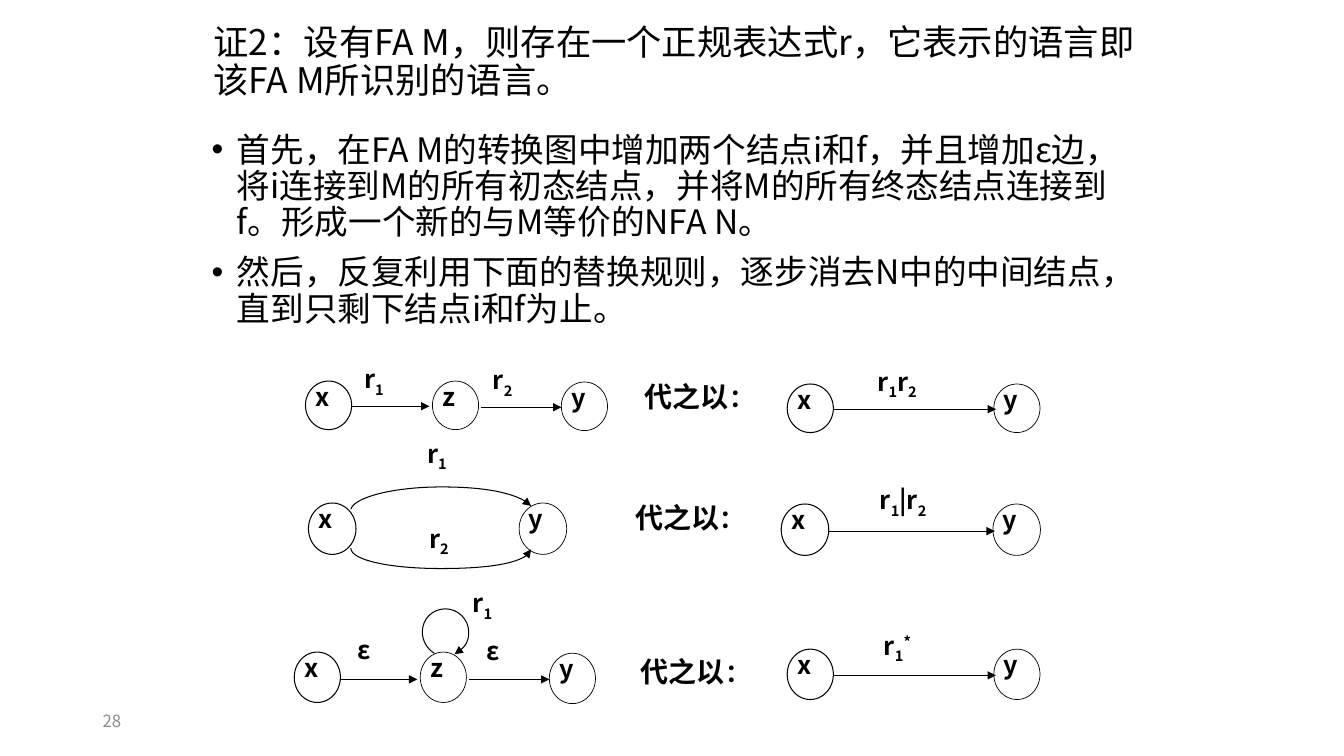
from dataclasses import dataclass

from lxml import etree
from pptx import Presentation
from pptx.dml.color import RGBColor
from pptx.enum.shapes import MSO_CONNECTOR, MSO_SHAPE
from pptx.enum.text import MSO_ANCHOR, MSO_AUTO_SIZE, PP_ALIGN
from pptx.oxml.ns import qn
from pptx.util import Pt

ELLIPSE = MSO_SHAPE.OVAL
STRAIGHT = MSO_CONNECTOR.STRAIGHT
LEFT = PP_ALIGN.LEFT
TOP, MIDDLE = MSO_ANCHOR.TOP, MSO_ANCHOR.MIDDLE
NO_AUTOFIT = MSO_AUTO_SIZE.NONE

BLACK = RGBColor(0x00, 0x00, 0x00)
GRAY = RGBColor(0x8C, 0x8C, 0x8C)
FONT = "Noto Sans CJK SC"
THIN, NORMAL = 0.5, 0.75
INDENT = 18
SHIFTS = {"_": "-25000", "^": "30000"}

TITLE = "证2：设有FA M，则存在一个正规表达式r，它表示的语言即该FA M所识别的语言。"
STEPS = (
    "首先，在FA M的转换图中增加两个结点i和f，并且增加ε边，将i连接到M的所有初态结点，"
    "并将M的所有终态结点连接到f。形成一个新的与M等价的NFA N。",
    "然后，反复利用下面的替换规则，逐步消去N中的中间结点，直到只剩下结点i和f为止。",
)

Point = tuple[float, float]


@dataclass(frozen=True)
class Node:
    name: str
    left: float
    top: float


@dataclass(frozen=True)
class Arrow:
    start: float
    end: float
    height: float


@dataclass(frozen=True)
class Label:
    markup: str
    left: float
    top: float


@dataclass(frozen=True)
class Curve:
    start: Point
    controls: tuple[Point, ...]


@dataclass(frozen=True)
class Rule:
    node_size: Point
    nodes: tuple[Node, ...]
    arrows: tuple[Arrow, ...]
    labels: tuple[Label, ...]
    replaced_by: Point
    curves: tuple[Curve, ...] = ()


RULES = (
    Rule(
        (33, 34.7),
        (Node("x", 218.2, 272.2), Node("z", 308.9, 272.2), Node("y", 401, 272.9),
         Node("x", 562.3, 274.3), Node("y", 709.9, 274.3)),
        (Arrow(251.3, 306.7, 290.2), Arrow(343.4, 401, 290.9), Arrow(594.7, 711.4, 292.3)),
        (Label("r_1", 253, 256.3), Label("r_2", 345, 257), Label("r_1r_2", 619.8, 257.8)),
        (453.6, 267.8),
    ),
    Rule(
        (34, 36.7),
        (Node("x", 220.3, 359.3), Node("y", 370.8, 359.3),
         Node("x", 558, 360), Node("y", 709.2, 360)),
        (Arrow(591.8, 710.6, 379.4),),
        (Label("r_1", 298.1, 309.6), Label("r_2", 299.5, 370.1), Label("r_1|r_2", 621.4, 342.7)),
        (447.1, 354.2),
        (Curve((250.6, 363.6), (
            (253.4, 355), (281.5, 347.8), (315.4, 347.8),
            (346.3, 347.8), (373, 353.5), (379.4, 361.4))),
         Curve((250.6, 391.5), (
             (250.6, 400.3), (279.4, 406.1), (314.6, 406.1),
             (350.6, 406.1), (379.4, 400.3), (379.4, 392.4)))),
    ),
    Rule(
        (33, 36),
        (Node("x", 210.2, 465.8), Node("z", 300.2, 465.8), Node("y", 392.4, 466.6),
         Node("x", 562.3, 463.7), Node("y", 709.9, 463.7)),
        (Arrow(242.6, 298.1, 485.3), Arrow(334.8, 392.4, 485.3), Arrow(595.4, 711.4, 482.4)),
        (Label("ε", 248.2, 449.3), Label("ε", 340.3, 450),
         Label("r_1", 330.6, 416.2), Label("r_1^*", 624.3, 446.4)),
        (450.7, 463.7),
        (Curve((310.3, 466.6), (
            (305.3, 463.7), (301.7, 457.9), (301.7, 451.4),
            (301.7, 442.1), (308.9, 434.9), (318.2, 434.9),
            (326.9, 434.9), (334.8, 442.1), (334.8, 451.4),
            (334.8, 458.6), (330.5, 464.4), (324.7, 467.3))),),
    ),
)


def set_attributes(target, values: dict) -> None:
    for name, value in values.items():
        setattr(target, name, value)


def add_run(paragraph, text: str, size: float, bold: bool = False,
            color: RGBColor = BLACK, shift: str = "") -> None:
    run = paragraph.add_run()
    run.text = text
    set_attributes(run.font, {"name": FONT, "size": Pt(size), "bold": bold})
    run.font.color.rgb = color
    properties = run._r.get_or_add_rPr()
    etree.SubElement(properties, qn("a:ea"), typeface=FONT)
    if shift:
        properties.set("baseline", shift)


def add_text_box(slide, left: float, top: float, width: float, height: float):
    frame = slide.shapes.add_textbox(Pt(left), Pt(top), Pt(width), Pt(height)).text_frame
    frame.word_wrap = True
    return frame


def add_label(slide, label: Label) -> None:
    paragraph = add_text_box(slide, label.left, label.top, 72, 41).paragraphs[0]
    shift = ""
    for character in label.markup:
        if character in SHIFTS:
            shift = SHIFTS[character]
        else:
            add_run(paragraph, character, 18, True, shift=shift)
            shift = ""


def style_outline(shape, weight: float, arrow: bool) -> None:
    set_attributes(shape.line, {"width": Pt(weight)})
    shape.line.color.rgb = BLACK
    if arrow:
        outline = shape._element.spPr.find(qn("a:ln"))
        etree.SubElement(outline, qn("a:tailEnd"), type="triangle")


def add_node(slide, node: Node, size: Point) -> None:
    circle = slide.shapes.add_shape(ELLIPSE, *map(Pt, (node.left, node.top, *size)))
    circle.shadow.inherit = False
    circle.fill.background()
    style_outline(circle, NORMAL if node.name == "x" else THIN, False)
    add_label(slide, Label(node.name, node.left, node.top - 3.6))


def add_arrow(slide, arrow: Arrow) -> None:
    connector = slide.shapes.add_connector(
        STRAIGHT, Pt(arrow.start), Pt(arrow.height), Pt(arrow.end), Pt(arrow.height))
    style_outline(connector, NORMAL, True)
    etree.SubElement(connector._element.spPr, qn("a:effectLst"))


def add_curve(slide, curve: Curve) -> None:
    builder = slide.shapes.build_freeform(*map(Pt, curve.start))
    builder.add_line_segments([(Pt(x), Pt(y)) for x, y in curve.controls], close=False)
    shape = builder.convert_to_shape()
    outline = next(shape._element.iter(qn("a:path")))
    segments = outline.findall(qn("a:lnTo"))
    for first in range(0, len(segments), 3):
        bezier = etree.SubElement(outline, qn("a:cubicBezTo"))
        for segment in segments[first:first + 3]:
            bezier.append(segment[0])
            outline.remove(segment)
    shape.shadow.inherit = False
    shape.fill.background()
    style_outline(shape, NORMAL, True)


def fill_placeholder(shape, box: tuple, anchor, texts: tuple[str, ...],
                     size: float, bulleted: bool) -> None:
    set_attributes(shape, dict(zip(("left", "top", "width", "height"), map(Pt, box))))
    frame = shape.text_frame
    set_attributes(frame, {"word_wrap": True, "auto_size": NO_AUTOFIT, "vertical_anchor": anchor})
    for index, text in enumerate(texts):
        paragraph = frame.add_paragraph() if index else frame.paragraphs[0]
        if bulleted:
            properties = paragraph._p.get_or_add_pPr()
            properties.set("marL", str(Pt(INDENT)))
            properties.set("indent", str(-Pt(INDENT)))
            etree.SubElement(properties, qn("a:buFont"), typeface="Arial")
            etree.SubElement(properties, qn("a:buChar"), char="•")
        set_attributes(paragraph, {"alignment": LEFT, "line_spacing": 0.9,
                                   "space_before": Pt(10 if index else 0)})
        add_run(paragraph, text, size)


def main() -> None:
    presentation = Presentation()
    set_attributes(presentation, {"slide_width": Pt(960), "slide_height": Pt(540)})
    slide = presentation.slides.add_slide(presentation.slide_layouts[1])
    fill_placeholder(slide.shapes.title, (145.4, 12.2, 678.2, 65.5), MIDDLE, (TITLE,), 25.2, False)
    fill_placeholder(slide.placeholders[1], (144, 91.4, 668.2, 156.2), TOP, STEPS, 24, True)
    for rule in RULES:
        for node in rule.nodes:
            add_node(slide, node, rule.node_size)
        for arrow in rule.arrows:
            add_arrow(slide, arrow)
        for curve in rule.curves:
            add_curve(slide, curve)
        for label in rule.labels:
            add_label(slide, label)
        paragraph = add_text_box(slide, *rule.replaced_by, 108, 42).paragraphs[0]
        add_run(paragraph, "代之以", 20, True)
        add_run(paragraph, "：", 18, True)
    number = add_text_box(slide, 66.2, 500.4, 216, 28.8)
    number.vertical_anchor = MIDDLE
    add_run(number.paragraphs[0], "28", 12, color=GRAY)
    presentation.save("out.pptx")


if __name__ == "__main__":
    main()
